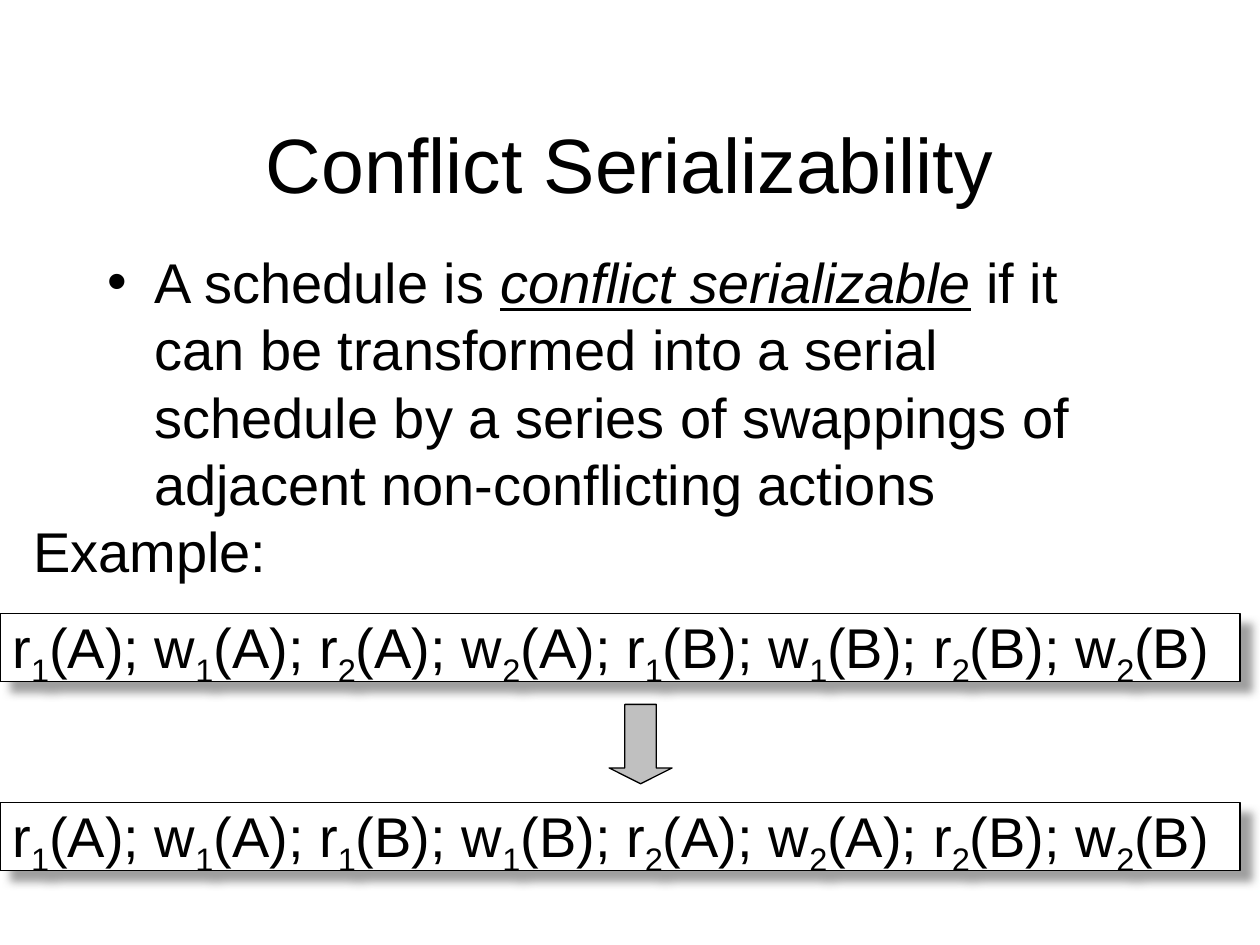
"""Build a slide that explains conflict serializability."""
from lxml.etree import SubElement
from pptx import Presentation
from pptx.dml.color import RGBColor
from pptx.enum.shapes import MSO_SHAPE
from pptx.enum.text import MSO_ANCHOR, MSO_AUTO_SIZE, PP_ALIGN
from pptx.oxml.ns import qn
from pptx.util import Cm, Pt


def color(value):
    return RGBColor.from_string(value)


def add_text(paragraph, text, size=32, font="Arial", fill="000000",
             italic=False, underline=False, baseline=0):
    run = paragraph.add_run()
    run.text = text
    run.font.name = font
    run.font.size = Pt(size)
    run.font.color.rgb = color(fill)
    run.font.italic = italic
    run.font.underline = underline
    if baseline:
        run.font._element.set("baseline", str(baseline * 1000))


class SlideBuilder:
    line_color = "000000"
    line_width = Pt(0.75)
    shadow_color = "808080"

    def __init__(self, slide):
        self.slide = slide

    def fit_to_text(self, frame):
        frame.word_wrap = False
        frame.auto_size = MSO_AUTO_SIZE.SHAPE_TO_FIT_TEXT

    def text_box(self, left, top, width, height, anchor=MSO_ANCHOR.TOP):
        shape = self.slide.shapes.add_textbox(Cm(left), Cm(top), Cm(width), Cm(height))
        frame = shape.text_frame
        frame.word_wrap = True
        frame.vertical_anchor = anchor
        return frame

    def title(self, text):
        frame = self.text_box(1.9, 1.7, 21.6, 3.18, anchor=MSO_ANCHOR.MIDDLE)
        paragraph = frame.paragraphs[0]
        paragraph.alignment = PP_ALIGN.CENTER
        add_text(paragraph, text, size=44)

    def definition(self, before, term, after):
        paragraph = self.text_box(1.91, 4.87, 21.59, 6.35).paragraphs[0]
        properties = paragraph._p.get_or_add_pPr()
        properties.set("marL", str(Cm(0.95)))
        properties.set("indent", str(-Cm(0.95)))
        SubElement(properties, qn("a:buFont"), typeface="Arial")
        SubElement(properties, qn("a:buChar"), char="•")
        add_text(paragraph, before)
        add_text(paragraph, term, italic=True, underline=True)
        add_text(paragraph, after)

    def label(self, text):
        frame = self.text_box(0.42, 10.29, 5.25, 1.6)
        self.fit_to_text(frame)
        add_text(frame.paragraphs[0], text)

    def outlined(self, kind, left, top, width, height, fill):
        shape = self.slide.shapes.add_shape(kind, Cm(left), Cm(top), Cm(width), Cm(height))
        shape.shadow.inherit = False
        shape.fill.solid()
        shape.fill.fore_color.rgb = color(fill)
        shape.line.color.rgb = color(self.line_color)
        shape.line.width = self.line_width
        return shape

    def drop_shadow(self, shape):
        effects = shape._element.spPr.find(qn("a:effectLst"))
        shadow = SubElement(effects, qn("a:outerShdw"), blurRad=str(Pt(5)),
                            dist=str(Pt(8.5)), dir=str(45 * 60000),
                            algn="tl", rotWithShape="0")
        tint = SubElement(shadow, qn("a:srgbClr"), val=self.shadow_color)
        SubElement(tint, qn("a:alpha"), val="75000")

    def schedule(self, top, actions):
        shape = self.outlined(MSO_SHAPE.RECTANGLE, 0, top, 25, 1.37, "FFFFFF")
        self.drop_shadow(shape)
        frame = shape.text_frame
        self.fit_to_text(frame)
        frame.vertical_anchor = MSO_ANCHOR.TOP
        paragraph = frame.paragraphs[0]
        paragraph.alignment = PP_ALIGN.LEFT
        paragraph.line_spacing = 0.8
        separator = ""
        for operation, transaction, item in actions.split():
            add_text(paragraph, separator + operation)
            add_text(paragraph, transaction, baseline=-25)
            separator = f"({item}); "
        add_text(paragraph, f"({item})")

    def down_arrow(self, left, top, width, height):
        shape = self.outlined(MSO_SHAPE.DOWN_ARROW, left, top, width, height, "C0C0C0")
        shape.adjustments[0] = 0.5
        shape.adjustments[1] = 0.25


def main():
    presentation = Presentation()
    presentation.slide_width = Cm(25.4)
    presentation.slide_height = Cm(19.05)
    builder = SlideBuilder(presentation.slides.add_slide(presentation.slide_layouts[6]))
    builder.title("Conflict Serializability")
    builder.definition(
        "A schedule is ", "conflict serializable",
        " if it can be transformed into a serial schedule by a series of "
        "swappings of adjacent non-conflicting actions")
    builder.label("Example:")
    builder.schedule(16.18, "r1A w1A r1B w1B r2A w2A r2B w2B")
    builder.schedule(12.37, "r1A w1A r2A w2A r1B w1B r2B w2B")
    builder.down_arrow(12.28, 14.2, 1.27, 1.6)
    presentation.save("out.pptx")


if __name__ == "__main__":
    main()
